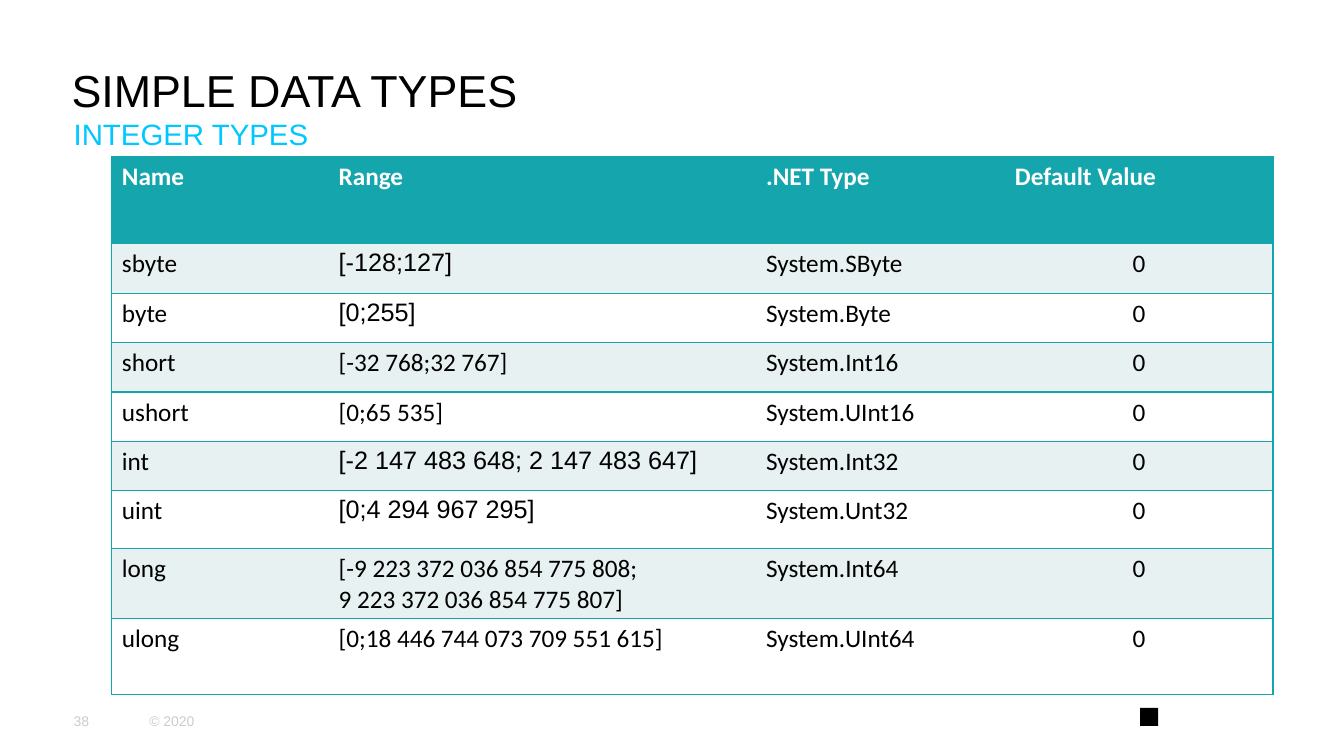
from dataclasses import dataclass

from lxml import etree
from pptx import Presentation
from pptx.dml.color import RGBColor
from pptx.enum.shapes import MSO_SHAPE
from pptx.enum.text import MSO_ANCHOR, PP_ALIGN
from pptx.oxml.ns import qn
from pptx.slide import Slide
from pptx.table import _Cell
from pptx.util import Pt

TOP, MIDDLE, BOTTOM = MSO_ANCHOR.TOP, MSO_ANCHOR.MIDDLE, MSO_ANCHOR.BOTTOM
LEFT, CENTER = PP_ALIGN.LEFT, PP_ALIGN.CENTER
RECTANGLE = MSO_SHAPE.RECTANGLE

TEAL, PALE_TEAL, WHITE, BLACK = "15A6AD", "E8F1F1", "FFFFFF", "000000"
SKY, GREY = "00C8FF", "CCCCCC"
HEADINGS = ("Name", "Range", ".NET Type", "Default Value")
COLUMN_WIDTHS = (154.8, 305.3, 177.8, 191.5)
ROW_HEIGHTS = (62.6, *[35.3] * 5, 41, 37.4, 54)


@dataclass(frozen=True)
class Label:
    text: str
    left: float
    top: float
    width: float
    height: float
    size: float
    color: str
    anchor: MSO_ANCHOR
    space_after: float = 0


@dataclass(frozen=True)
class IntegerType:
    name: str
    range: str
    net_type: str
    range_font: str = "Calibri"
    default: str = "0"


LABELS = (
    Label("SIMPLE DATA TYPES", 51.1, 0.7, 856.8, 82.8, 32, BLACK, BOTTOM),
    Label("INTEGER TYPES", 52.6, 82.8, 854.6, 31.7, 21, SKY, TOP, 12),
    Label("38", 52.6, 500.4, 53.3, 28.8, 10, GREY, MIDDLE),
    Label("© 2020", 106.6, 500.4, 77.8, 28.8, 10, GREY, MIDDLE),
)

INTEGER_TYPES = (
    IntegerType("sbyte", "[-128;127]", "System.SByte", "Arial"),
    IntegerType("byte", "[0;255]", "System.Byte", "Arial"),
    IntegerType("short", "[-32 768;32 767]", "System.Int16"),
    IntegerType("ushort", "[0;65 535]", "System.UInt16"),
    IntegerType("int", "[-2 147 483 648; 2 147 483 647]", "System.Int32", "Arial"),
    IntegerType("uint", "[0;4 294 967 295]", "System.Unt32", "Arial"),
    IntegerType("long", "[-9 223 372 036 854 775 808;\v9 223 372 036 854 775 807]", "System.Int64"),
    IntegerType("ulong", "[0;18 446 744 073 709 551 615]", "System.UInt64"),
)


def rgb(color: str) -> RGBColor:
    return RGBColor.from_string(color)


def add_label(slide: Slide, label: Label) -> None:
    box = slide.shapes.add_textbox(
        Pt(label.left), Pt(label.top), Pt(label.width), Pt(label.height)
    )
    frame = box.text_frame
    frame.margin_left = frame.margin_right = frame.margin_top = frame.margin_bottom = 0
    frame.word_wrap = True
    frame.vertical_anchor = label.anchor
    paragraph = frame.paragraphs[0]
    paragraph.text = label.text
    paragraph.space_after = Pt(label.space_after)
    paragraph.font.name = "Arial"
    paragraph.font.size = Pt(label.size)
    paragraph.font.color.rgb = rgb(label.color)


def set_borders(cell: _Cell, is_first: bool, is_last: bool) -> None:
    properties = cell._tc.get_or_add_tcPr()
    sides = {"a:lnL": is_first, "a:lnR": is_last, "a:lnT": True, "a:lnB": True}
    for side, visible in sides.items():
        border = etree.SubElement(properties, qn(side), w=str(Pt(1)))
        if visible:
            fill = etree.SubElement(border, qn("a:solidFill"))
            etree.SubElement(fill, qn("a:srgbClr"), val=TEAL)
        else:
            etree.SubElement(border, qn("a:noFill"))


def fill_cell(
    cell: _Cell, text: str, fill: str, color: str, font: str, bold: bool, alignment: PP_ALIGN
) -> None:
    cell.fill.solid()
    cell.fill.fore_color.rgb = rgb(fill)
    paragraph = cell.text_frame.paragraphs[0]
    paragraph.text = text
    paragraph.alignment = alignment
    paragraph.font.name = font
    paragraph.font.size = Pt(18)
    paragraph.font.bold = bold
    paragraph.font.color.rgb = rgb(color)


def add_type_table(slide: Slide) -> None:
    table = slide.shapes.add_table(
        len(ROW_HEIGHTS), len(COLUMN_WIDTHS), Pt(79.9), Pt(111.6),
        Pt(sum(COLUMN_WIDTHS)), Pt(sum(ROW_HEIGHTS)),
    ).table
    table.horz_banding = False
    for column, width in zip(table.columns, COLUMN_WIDTHS):
        column.width = Pt(width)
    for row, height in zip(table.rows, ROW_HEIGHTS):
        row.height = Pt(height)
        for index, cell in enumerate(row.cells):
            set_borders(cell, index == 0, index == len(COLUMN_WIDTHS) - 1)

    for column, heading in enumerate(HEADINGS):
        fill_cell(table.cell(0, column), heading, TEAL, WHITE, "Calibri", True, LEFT)
    for row, kind in enumerate(INTEGER_TYPES, start=1):
        band = PALE_TEAL if row % 2 else WHITE
        entries = (
            (kind.name, "Calibri", LEFT),
            (kind.range, kind.range_font, LEFT),
            (kind.net_type, "Calibri", LEFT),
            (kind.default, "Calibri", CENTER),
        )
        for column, (text, font, alignment) in enumerate(entries):
            fill_cell(table.cell(row, column), text, band, BLACK, font, False, alignment)


def add_emblem(slide: Slide) -> None:
    emblem = slide.shapes.add_shape(RECTANGLE, Pt(814.3), Pt(505.6), Pt(13), Pt(13))
    emblem.shadow.inherit = False
    emblem.fill.solid()
    emblem.fill.fore_color.rgb = rgb(BLACK)
    emblem.line.fill.background()


def main() -> None:
    presentation = Presentation()
    presentation.slide_width = Pt(960)
    presentation.slide_height = Pt(540)
    slide = presentation.slides.add_slide(presentation.slide_layouts[6])
    for label in LABELS:
        add_label(slide, label)
    add_type_table(slide)
    add_emblem(slide)
    presentation.save("out.pptx")


if __name__ == "__main__":
    main()
